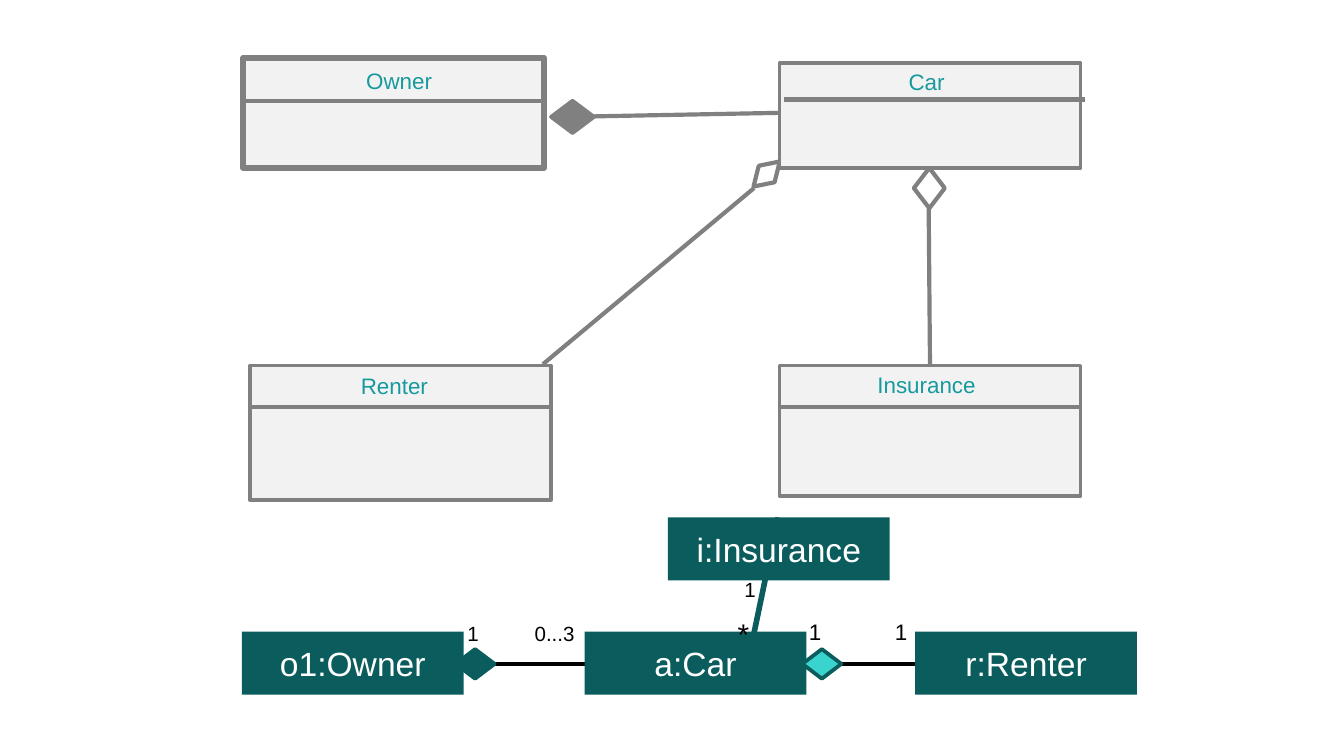
from dataclasses import dataclass

from lxml import etree
from pptx import Presentation
from pptx.dml.color import RGBColor
from pptx.enum.shapes import MSO_CONNECTOR, MSO_SHAPE
from pptx.enum.text import MSO_ANCHOR, MSO_AUTO_SIZE, PP_ALIGN
from pptx.oxml.ns import qn
from pptx.util import Pt

PX = 9144
RECTANGLE = MSO_SHAPE.RECTANGLE
DIAMOND = MSO_SHAPE.DIAMOND
DECISION = MSO_SHAPE.FLOWCHART_DECISION
STRAIGHT = MSO_CONNECTOR.STRAIGHT
MIDDLE = MSO_ANCHOR.MIDDLE
GROW = MSO_AUTO_SIZE.SHAPE_TO_FIT_TEXT
LEFT = PP_ALIGN.LEFT
CENTER = PP_ALIGN.CENTER


@dataclass(frozen=True)
class Theme:
    """Colours, font and type sizes of the slide."""
    font: str = "Arial"
    gray: str = "808080"
    pale: str = "F2F2F2"
    teal: str = "179A9D"
    dark: str = "0B5C5C"
    aqua: str = "38D4CD"
    black: str = "000000"
    white: str = "FFFFFF"
    small: int = 11
    label: int = 12
    star: int = 16
    object_name: int = 18
    line: float = 2.25
    border: int = 2
    heavy: int = 3


THEME = Theme()


def place(box, left, top, *size):
    """Return a position inside a box, with an optional size, in EMU."""
    return [PX * value for value in (box[0] + left, box[1] + top, *size)]


def add_line(page, box, start, end, color=THEME.gray, width=THEME.line):
    """Draw a straight line between two points of a box."""
    line = page.shapes.add_connector(STRAIGHT, *place(box, *start), *place(box, *end))
    line.line.color.rgb = RGBColor.from_string(color)
    line.line.width = Pt(width)
    etree.SubElement(line._element.spPr, qn("a:effectLst"))


def add_figure(page, box, kind, bounds, fill=None, outline=None, width=THEME.border):
    """Draw a preset shape and return it."""
    figure = page.shapes.add_shape(kind, *place(box, *bounds))
    figure.shadow.inherit = False
    if fill:
        figure.fill.solid()
        figure.fill.fore_color.rgb = RGBColor.from_string(fill)
    else:
        figure.fill.background()
    if outline:
        figure.line.color.rgb = RGBColor.from_string(outline)
        figure.line.width = Pt(width)
    else:
        figure.line.fill.background()
    return figure


def write(shape, text, size, color, align):
    """Write one formatted paragraph into a shape and return it."""
    para = shape.text_frame.paragraphs[0]
    para.text = text
    para.alignment = align
    para.font.name = THEME.font
    para.font.size = Pt(size)
    para.font.color.rgb = RGBColor.from_string(color)
    return para


def add_label(page, box, bounds, text, size, color=THEME.black, align=LEFT, tab=None):
    """Add a text box, with an optional tab stop."""
    label = page.shapes.add_textbox(*place(box, *bounds))
    label.text_frame.word_wrap = True
    label.text_frame.auto_size = GROW
    para = write(label, text, size, color, align)
    if tab:
        stops = etree.Element(qn("a:tabLst"))
        etree.SubElement(stops, qn("a:tab"), pos=str(tab * PX), algn="l")
        properties = para._p.get_or_add_pPr()
        properties.insert_element_before(stops, "a:defRPr", "a:extLst")


def add_class(page, box, name, border, title, divider):
    """Draw a class box with its name and divider."""
    width, height = box[2:]
    add_figure(page, box, RECTANGLE, (0, 0, width, height), THEME.pale, THEME.gray, border)
    add_label(page, box, (*title, 30), name, THEME.label, THEME.teal, CENTER)
    left, top = divider
    add_line(page, box, (left, top), (left + width, top))


def add_class_diagram(page, box):
    """Draw the four classes and their associations."""
    add_figure(page, box, DIAMOND, (500, 82, 23, 30), None, THEME.gray, THEME.line)
    add_figure(page, box, DECISION, (230, 32, 32, 24), THEME.gray, THEME.gray)
    tilted = add_figure(page, box, DECISION, (377, 78, 27, 17), None, THEME.gray, THEME.line)
    tilted.rotation = 316.4
    classes = (
        ("Owner", (1, 0), 82, THEME.heavy, (4, 2, 224), (-1, 32)),
        ("Car", (400, 4), 78, THEME.border, (11, -1, 197), (3, 27)),
        ("Renter", (6, 229), 100, THEME.border, (9, 0, 197), (0, 31)),
        ("Insurance", (400, 229), 97, THEME.border, (1, -1, 217), (0, 31)),
    )
    for name, (left, top), height, border, title, divider in classes:
        frame = (box[0] + left, box[1] + top, 224, height)
        add_class(page, frame, name, border, title, divider)
    links = (((224, 228), (381, 97)), ((511, 112), (512, 229)), ((242, 44), (399, 41)))
    for start, end in links:
        add_line(page, box, start, end)


def add_object_diagram(page, box):
    """Draw the four objects, their links and multiplicities."""
    add_line(page, box, (399, 0), (380, 91), THEME.dark, THEME.heavy)
    add_line(page, box, (166, 109), (666, 109), THEME.black)
    objects = (
        ("o1:Owner", 0, 85), ("a:Car", 255, 85),
        ("r:Renter", 501, 85), ("i:Insurance", 317, 0),
    )
    for name, left, top in objects:
        figure = add_figure(page, box, RECTANGLE, (left, top, 165, 47), THEME.dark)
        figure.text_frame.vertical_anchor = MIDDLE
        write(figure, name, THEME.object_name, THEME.white, CENTER)
    for left, fill in ((159, THEME.dark), (417, THEME.aqua)):
        add_figure(page, box, DECISION, (left, 98, 29, 22), fill, THEME.dark)
    labels = (
        ((158, 72, 127, 29), "1\t0...3", THEME.small, 50),
        ((412, 70, 127, 30), "1\t1", THEME.label, 64),
        ((364, 39, 35, 29), "1", THEME.small, None),
        ((359, 68, 27, 56), "*", THEME.star, None),
    )
    for bounds, text, size, tab in labels:
        add_label(page, box, bounds, text, size, tab=tab)


def main():
    """Build and save the deck."""
    deck = Presentation()
    deck.slide_width = 1000 * PX
    deck.slide_height = deck.slide_width * 9 // 16
    page = deck.slides.add_slide(deck.slide_layouts[6])
    add_class_diagram(page, (180, 43))
    add_object_diagram(page, (180, 385))
    deck.save("out.pptx")


if __name__ == "__main__":
    main()
